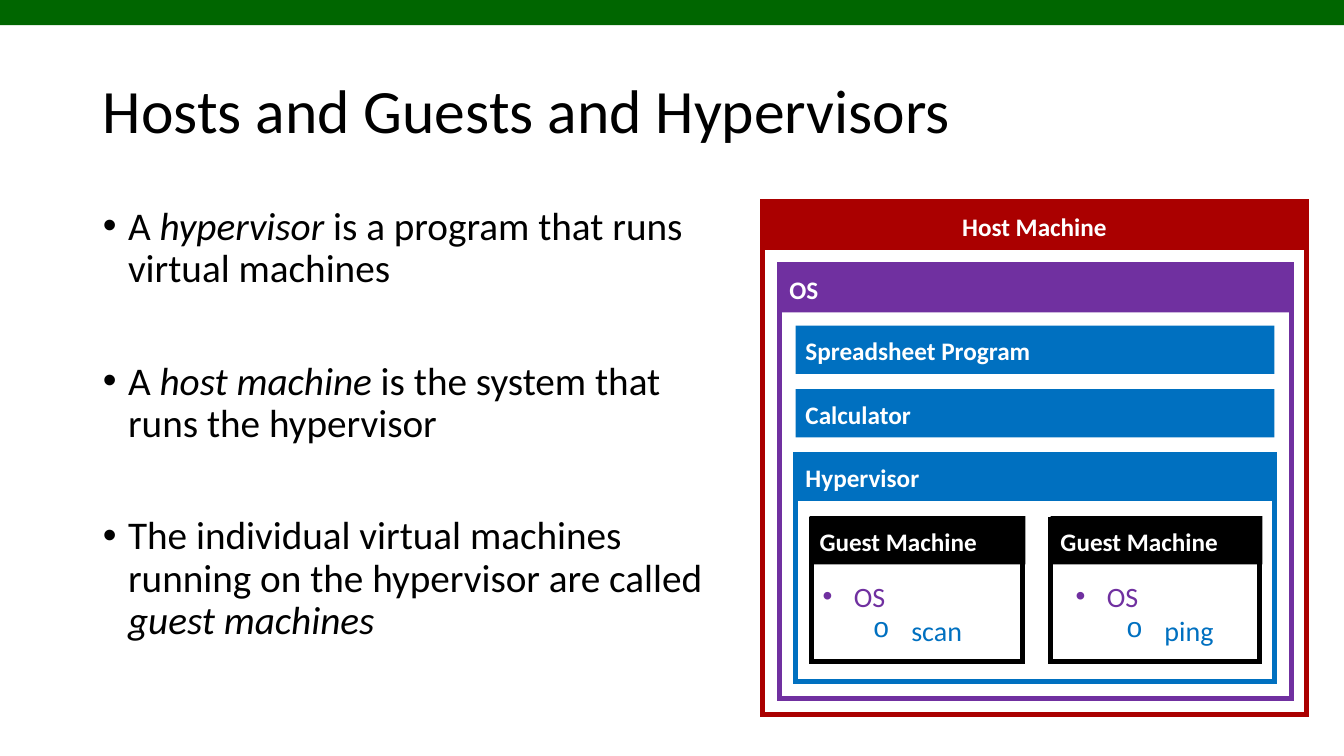
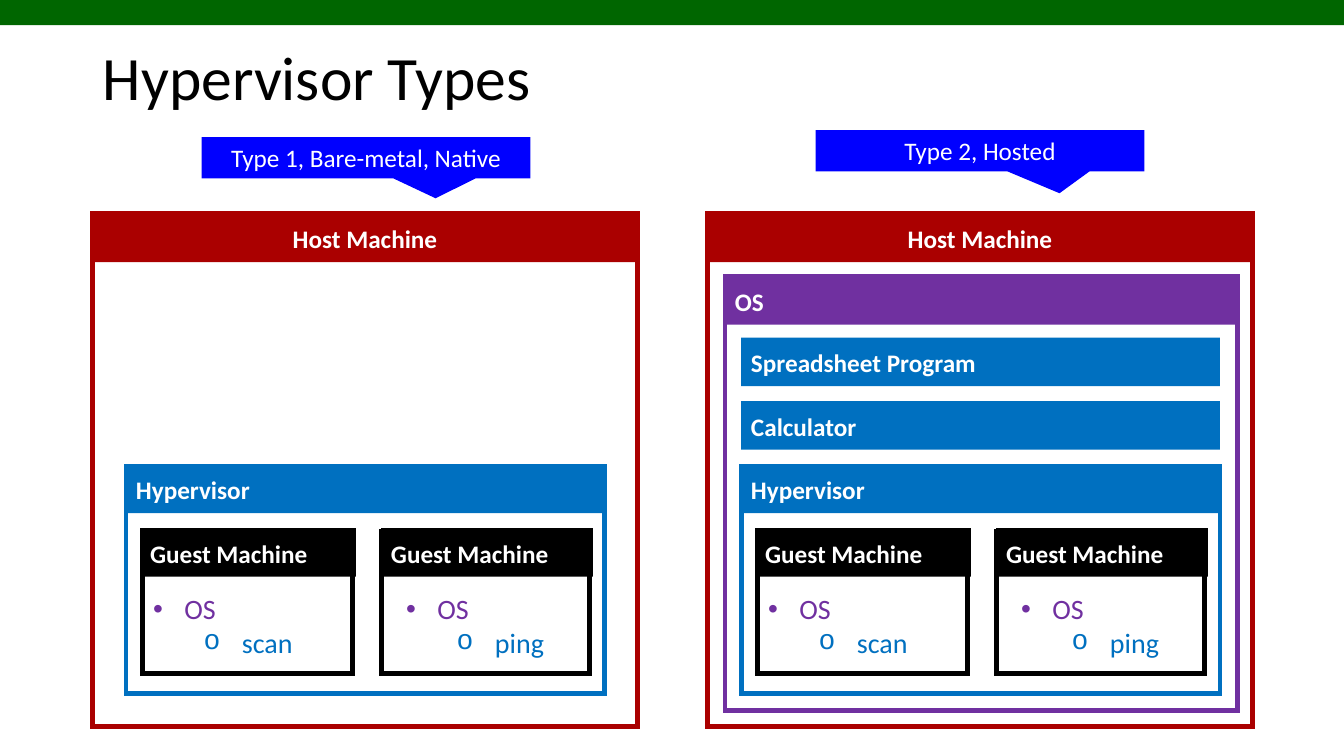
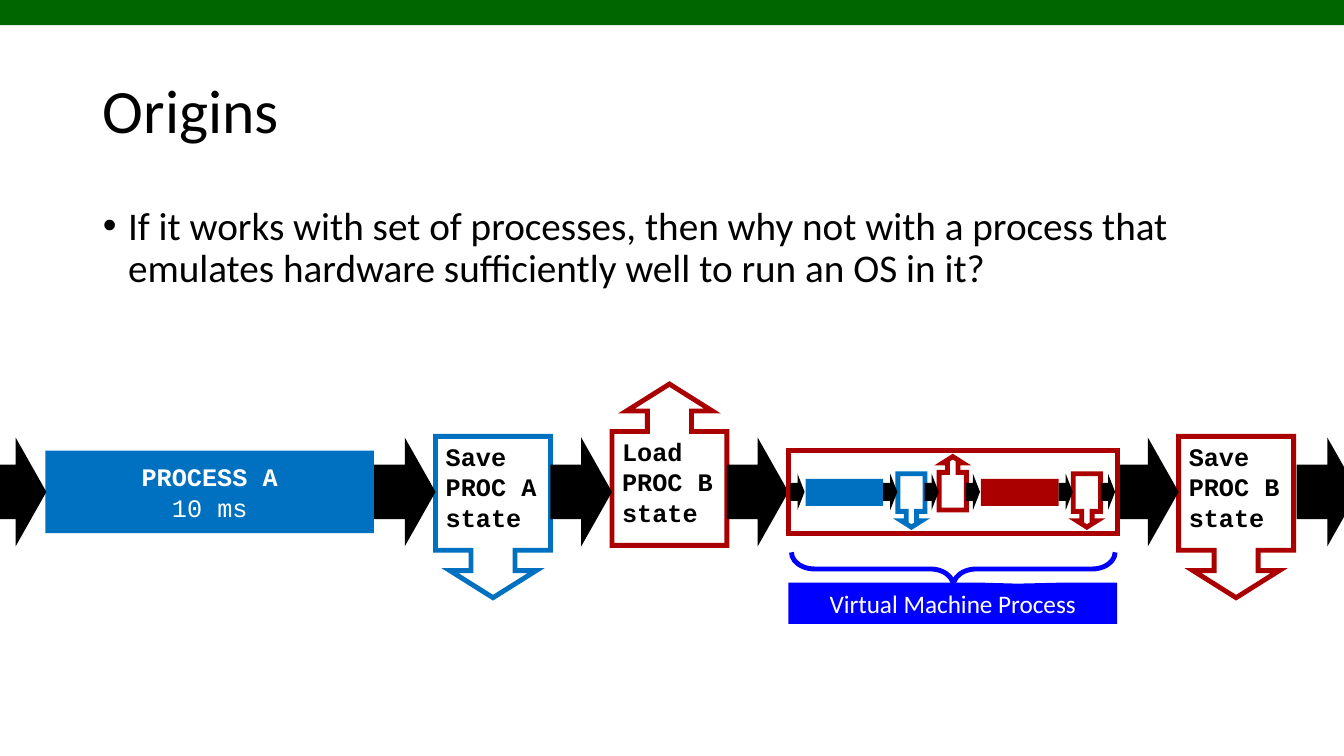
from dataclasses import dataclass

from lxml import etree
from pptx import Presentation, util as u
from pptx.dml.color import RGBColor
from pptx.enum import shapes as es, text as et
from pptx.oxml import ns

WIDE, HIGH = 13.33, 7.5
BLACK = RGBColor(0x00, 0x00, 0x00)
WHITE = RGBColor(0xFF, 0xFF, 0xFF)
GREEN = RGBColor(0x00, 0x66, 0x00)
RED = RGBColor(0xAA, 0x00, 0x00)
BLUE = RGBColor(0x00, 0x70, 0xC0)
PURPLE = RGBColor(0x70, 0x30, 0xA0)
NOTE = RGBColor(0x00, 0x00, 0xFF)
SANS, MONO = "Calibri", "Courier New"
KIND = es.MSO_SHAPE
MID, LEFT = et.PP_ALIGN.CENTER, et.PP_ALIGN.LEFT

EDGE = 0.92           # left margin of titles, lists and hosts
BAR = 0.48            # height of a heading bar
STEP = 0.63           # from one program to the next
CALL = (0.383, 0.374, 0.235, 0.706)


@dataclass
class Guest:
    """A guest machine, placed from the corner of its host."""
    left: float
    frame: float
    width: float
    head: float
    list_left: float
    list_width: float
    tool: str


GUESTS = (
    Guest(0.47, 0.49, 2.09, 2.14, 0.5, 1.92, "scan"),
    Guest(2.86, 2.86, 2.07, 2.1, 3.01, 1.81, "ping"),
)


@dataclass
class Move:
    """A block that saves (down) or loads (up) the state of a process."""
    mid: float
    top: float
    color: RGBColor
    down: bool
    verb: str = ""
    name: str = ""


# Text and shapes

def write(frame, text: str, size=18, color=BLACK, font=SANS, bold=False,
          align=LEFT, bullet="", indent=(0.0, 0.0), level=0,
          lines=None, before=None, glyph="Arial") -> None:
    """Add one paragraph; words between asterisks are italic."""
    para = frame.add_paragraph() if frame.text else frame.paragraphs[0]
    para.alignment, para.level = align, level
    para.line_spacing = lines
    if before is not None:
        para.space_before = u.Pt(before)
    if bullet:
        props = para._p.get_or_add_pPr()
        props.set("marL", str(u.Inches(indent[0])))
        props.set("indent", str(u.Inches(indent[1])))
        etree.SubElement(props, ns.qn("a:buFont")).set("typeface", glyph)
        etree.SubElement(props, ns.qn("a:buChar")).set("char", bullet)
    for i, part in enumerate(text.split("*")):
        if part:
            run = para.add_run()
            run.text = part
            face = run.font
            face.name, face.size, face.bold = font, u.Pt(size), bold
            face.italic = i % 2 == 1
            face.color.rgb = color


def place(item, x: float, y: float, w: float, h: float) -> None:
    item.left, item.top = u.Inches(x), u.Inches(y)
    item.width, item.height = u.Inches(w), u.Inches(h)


def draw(pool, kind, x: float, y: float, w: float, h: float,
         fill=None, line=None, turn=0, adjust=(), pad=None):
    item = pool.add_shape(kind, *map(u.Inches, (x, y, w, h)))
    item.shadow.inherit = False
    item.rotation = turn
    for i, value in enumerate(adjust):
        item.adjustments[i] = value
    if fill is None:
        item.fill.background()
    else:
        item.fill.solid()
        item.fill.fore_color.rgb = fill
    if line is None:
        item.line.fill.background()
    else:
        item.line.color.rgb = line
        item.line.width = u.Pt(3.5)
        # Sharp corners
        edge = item.line._get_or_add_ln()
        etree.SubElement(edge, ns.qn("a:miter")).set("lim", "800000")
    if pad is not None:
        frame = item.text_frame
        frame.margin_left = frame.margin_right = u.Inches(pad)
        frame.margin_top = frame.margin_bottom = u.Inches(pad)
    return item


def head(pool, text: str, x: float, y: float, w: float, fill,
         align=LEFT) -> None:
    bar = draw(pool, KIND.RECTANGLE, x, y, w, BAR, fill=fill, pad=0.1)
    bar.text_frame.vertical_anchor = et.MSO_ANCHOR.TOP
    write(bar.text_frame, text, color=WHITE, bold=True, align=align)


def label(pool, text: str, x: float, y: float, adjust) -> None:
    item = draw(pool, KIND.RECTANGULAR_CALLOUT, x, y, 3.26, 0.41,
                fill=NOTE, adjust=adjust)
    write(item.text_frame, text, color=WHITE, align=MID)


# Shared slide parts

def start(deck, title: str, items=(), top=0.4, width=11.5, height=5.28):
    """Make a slide with its band, title and optional list."""
    slide = deck.slides.add_slide(deck.slide_layouts[1 if items else 5])
    name = slide.shapes.title
    place(name, EDGE, top, 11.5, 1.45)
    name.text_frame.vertical_anchor = et.MSO_ANCHOR.MIDDLE
    write(name.text_frame, title, size=44, lines=0.9)
    if items:
        body = slide.placeholders[1]
        place(body, EDGE, 2, width, height)
        body.text_frame.auto_size = et.MSO_AUTO_SIZE.NONE
        for i, item in enumerate(items):
            write(body.text_frame, item, size=28, bullet="•",
                  indent=(0.25, -0.25), lines=0.9, before=50 if i else 10)
    draw(slide.shapes, KIND.RECTANGLE, 0, 0, WIDE, 0.25, fill=GREEN)
    return slide.shapes


# Host diagram

def guest(pool, one: Guest, x: float, y: float) -> None:
    box = pool.add_textbox(*map(u.Inches, (x + one.list_left, y + 3.7,
                                           one.list_width, 0.77)))
    box.text_frame.word_wrap = True
    write(box.text_frame, "OS", size=20, color=PURPLE, bullet="•",
          indent=(0.31, -0.31))
    write(box.text_frame, one.tool, size=20, color=BLUE, bullet="o",
          indent=(0.88, -0.38), level=1, glyph=MONO)
    draw(pool, KIND.RECTANGLE, x + one.frame, y + 3.15, one.width, 1.41,
         line=BLACK)
    head(pool, "Guest Machine", x + one.left, y + 3.12, one.head, BLACK)


def host(pool, x: float, y: float, hosted=True) -> None:
    draw(pool, KIND.RECTANGLE, x, y, 5.4, 5.09, line=RED)
    head(pool, "Host Machine", x, y, 5.4, RED, align=MID)
    draw(pool, KIND.RECTANGLE, x + 0.33, y + 2.51, 4.75, 2.25, line=BLUE)
    names = ("Spreadsheet Program", "Calculator", "Hypervisor")
    for i, name in enumerate(names):
        if hosted or name == "Hypervisor":
            head(pool, name, x + 0.33, y + 1.23 + i * STEP, 4.75, BLUE)
    for one in GUESTS:
        guest(pool, one, x, y)
    if hosted:
        head(pool, "OS", x + 0.17, y + 0.62, 5.08, PURPLE)
        draw(pool, KIND.RECTANGLE, x + 0.17, y + 0.62, 5.08, 4.31,
             line=PURPLE)


# Process timeline

def arrows(pool, lefts, y: float, w: float, h: float) -> None:
    for x in lefts:
        draw(pool, KIND.RIGHT_ARROW, x, y, w, h, fill=BLACK)


def move(pool, one: Move, wide: float, tall: float) -> None:
    """Draw a turned callout: wide and tall are its sizes as seen."""
    item = draw(pool, KIND.RIGHT_ARROW_CALLOUT, one.mid - tall / 2,
                one.top + (tall - wide) / 2, tall, wide, line=one.color,
                turn=90 if one.down else 270, adjust=CALL, pad=0.1)
    if one.verb:
        frame = item.text_frame
        frame.vertical_anchor = et.MSO_ANCHOR.TOP
        frame._txBody.bodyPr.set("vert", "vert270" if one.down else "vert")
        for text in (one.verb, "PROC " + one.name, "state"):
            write(frame, text, font=MONO, bold=True)


def timeline(pool) -> None:
    for one in (Move(4.89, 4.33, BLUE, True, "Save", "A"),
                Move(6.64, 3.81, RED, False, "Load", "B"),
                Move(12.26, 4.33, RED, True, "Save", "B")):
        move(pool, one, 1.14, 1.6)
    task = draw(pool, KIND.RECTANGLE, 0.45, 4.47, 3.26, 0.82, fill=BLUE,
                pad=0.1)
    write(task.text_frame, "PROCESS A", color=WHITE, font=MONO, bold=True,
          align=MID)
    write(task.text_frame, "10 ms", color=WHITE, font=MONO, align=MID)
    arrows(pool, (-0.15, 3.71, 5.46, 7.21, 11.08, 12.86), 4.34, 0.61, 1.08)
    draw(pool, KIND.RECTANGLE, 7.82, 4.47, 3.26, 0.82, line=RED)

    # The same pattern, small, inside the virtual machine
    inner = pool.add_group_shape().shapes
    for one in (Move(9.04, 4.7, BLUE, True),
                Move(9.45, 4.53, RED, False),
                Move(10.78, 4.7, RED, True)):
        move(inner, one, 0.27, 0.53)
    for x, color in ((7.99, BLUE), (9.73, RED)):
        draw(inner, KIND.RECTANGLE, x, 4.75, 0.77, 0.27, fill=color)
    arrows(inner, (7.84, 8.76, 9.17, 9.58, 10.5, 10.92), 4.7, 0.14, 0.36)

    draw(pool, KIND.RIGHT_BRACE, 9.29, 4.04, 0.33, 3.21, line=NOTE, turn=90,
         adjust=(0.693, 0.5))
    label(pool, "Virtual Machine Process", 7.82, 5.78, (0.197, -0.475))


def main() -> None:
    deck = Presentation()
    deck.slide_width, deck.slide_height = u.Inches(WIDE), u.Inches(HIGH)

    pool = start(deck, "Hosts and Guests and Hypervisors", (
        "A *hypervisor* is a program that runs virtual machines",
        "A *host machine* is the system that runs the hypervisor",
        "The individual virtual machines running on the hypervisor are "
        "called *guest machines*"), width=6.23, height=4.76)
    host(pool, 7.56, 2)

    pool = start(deck, "Hypervisor Types", top=0.07)
    host(pool, 7.02, 2.12)
    host(pool, EDGE, 2.12, hosted=False)
    label(pool, "Type 1, Bare-metal, Native", 2, 1.36, (0.212, 0.983))
    label(pool, "Type 2, Hosted", 8.09, 1.29, (0.242, 1.03))

    pool = start(deck, "Origins", (
        "If it works with set of processes, then why not with a process "
        "that emulates hardware sufficiently well to run an OS in it?",))
    timeline(pool)

    deck.save("out.pptx")


if __name__ == "__main__":
    main()
